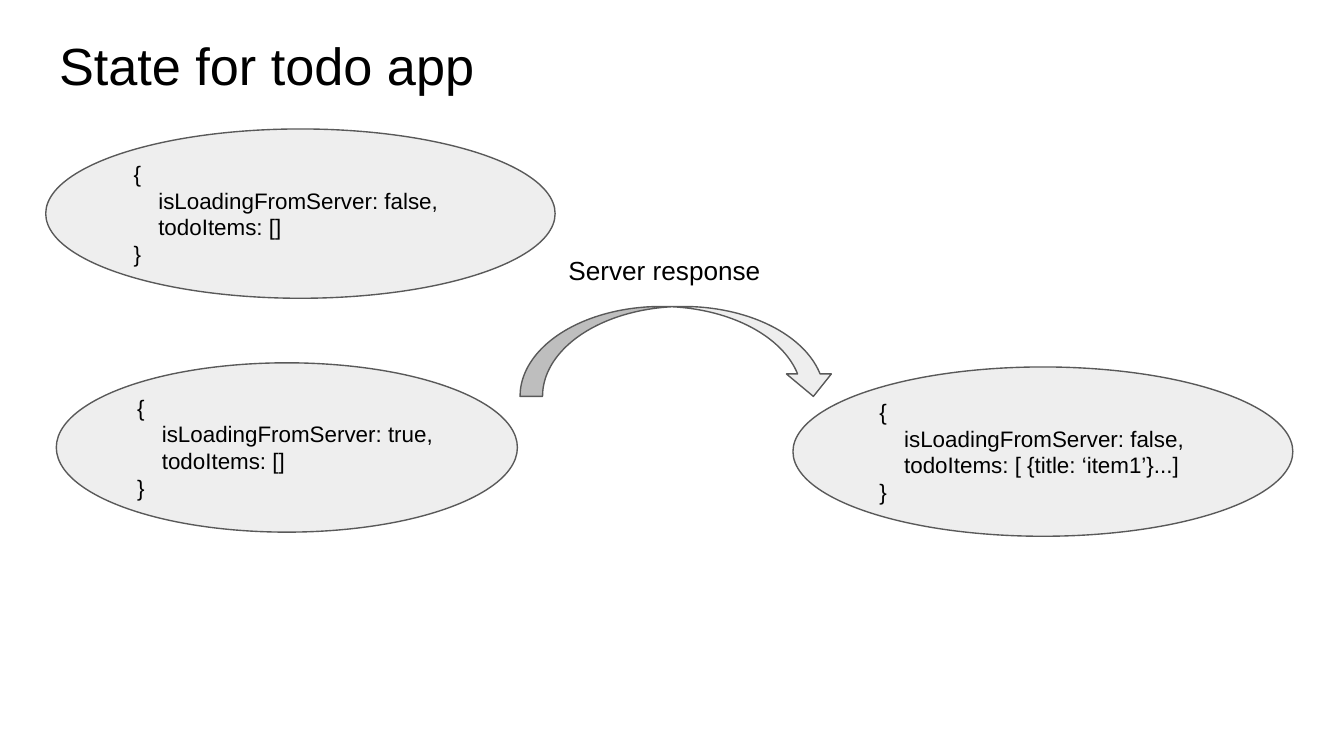
import pptx
import pptx.dml.color
import pptx.enum.shapes
import pptx.enum.text
import pptx.util

Pt = pptx.util.Pt
Shape = pptx.enum.shapes.MSO_SHAPE
Anchor = pptx.enum.text.MSO_ANCHOR

BLACK = pptx.dml.color.RGBColor(0x00, 0x00, 0x00)
LIGHT_GRAY = pptx.dml.color.RGBColor(0xEE, 0xEE, 0xEE)
DARK_GRAY = pptx.dml.color.RGBColor(0x59, 0x59, 0x59)

TITLE_ONLY_LAYOUT = 5
INSET = Pt(7.2)
CODE_INDENT = Pt(13.3)
ELLIPSE_HEIGHT = 90.7

# Left, top and width of each ellipse, then the fields of its state object
STATES = [
    (30.2, 194.4, 247, ["isLoadingFromServer: true,", "todoItems: []"]),
    (424.8, 196.6, 267.8, ["isLoadingFromServer: false,", "todoItems: [ {title: ‘item1’}...]"]),
    (24.5, 69.1, 272.9, ["isLoadingFromServer: false,", "todoItems: []"]),
]


def set_attributes(target, values):
    for name, value in values.items():
        setattr(target, name, value)


def write_lines(shape, lines, size, anchor=Anchor.TOP):
    frame = shape.text_frame
    set_attributes(frame, {
        "text": "\n".join(lines),
        "word_wrap": True,
        "auto_size": pptx.enum.text.MSO_AUTO_SIZE.NONE,
        "vertical_anchor": anchor,
        "margin_left": INSET,
        "margin_top": INSET,
        "margin_right": INSET,
        "margin_bottom": INSET,
    })
    for para in frame.paragraphs:
        para.alignment = pptx.enum.text.PP_ALIGN.LEFT
        for span in para.runs:
            set_attributes(span.font, {"name": "Arial", "size": Pt(size)})
            span.font.color.rgb = BLACK


def add_title(page, text):
    title = page.shapes.title
    set_attributes(title, {
        "left": Pt(24.5), "top": Pt(10.8), "width": Pt(671), "height": Pt(45.4),
    })
    write_lines(title, [text], 28)


def add_outlined_shape(page, kind, left, top, width, height):
    shape = page.shapes.add_shape(kind, Pt(left), Pt(top), Pt(width), Pt(height))
    shape.shadow.inherit = False
    shape.fill.solid()
    shape.fill.fore_color.rgb = LIGHT_GRAY
    shape.line.color.rgb = DARK_GRAY
    shape.line.width = Pt(0.75)
    return shape


def add_state(page, left, top, width, fields):
    """Draw an ellipse holding an object literal with indented fields."""
    ellipse = add_outlined_shape(page, Shape.OVAL, left, top, width, ELLIPSE_HEIGHT)
    write_lines(ellipse, ["{", *fields, "}"], 12, Anchor.MIDDLE)
    for para in ellipse.text_frame.paragraphs[1:-1]:
        para._p.get_or_add_pPr().set("marL", str(CODE_INDENT))


def add_label(page, text, left, top, width, height):
    box = page.shapes.add_textbox(Pt(left), Pt(top), Pt(width), Pt(height))
    write_lines(box, [text], 14)


def main():
    deck = pptx.Presentation()
    set_attributes(deck, {"slide_width": Pt(720), "slide_height": Pt(405)})
    page = deck.slides.add_slide(deck.slide_layouts[TITLE_ONLY_LAYOUT])

    add_title(page, "State for todo app")
    for left, top, width, fields in STATES:
        add_state(page, left, top, width, fields)
    add_outlined_shape(page, Shape.CURVED_DOWN_ARROW, 278.6, 164.2, 169.2, 48.2)
    add_label(page, "Server response", 297.4, 128.9, 118.8, 31)

    deck.save("out.pptx")


if __name__ == "__main__":
    main()
